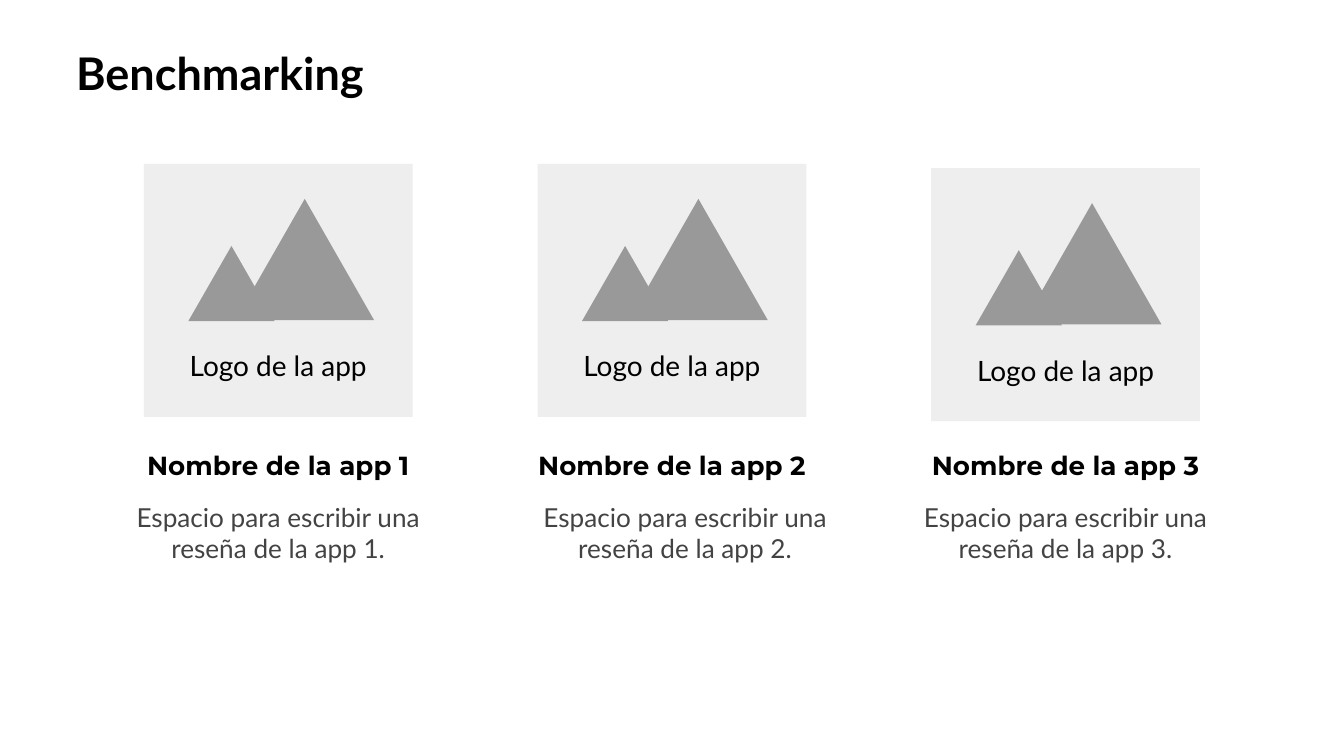
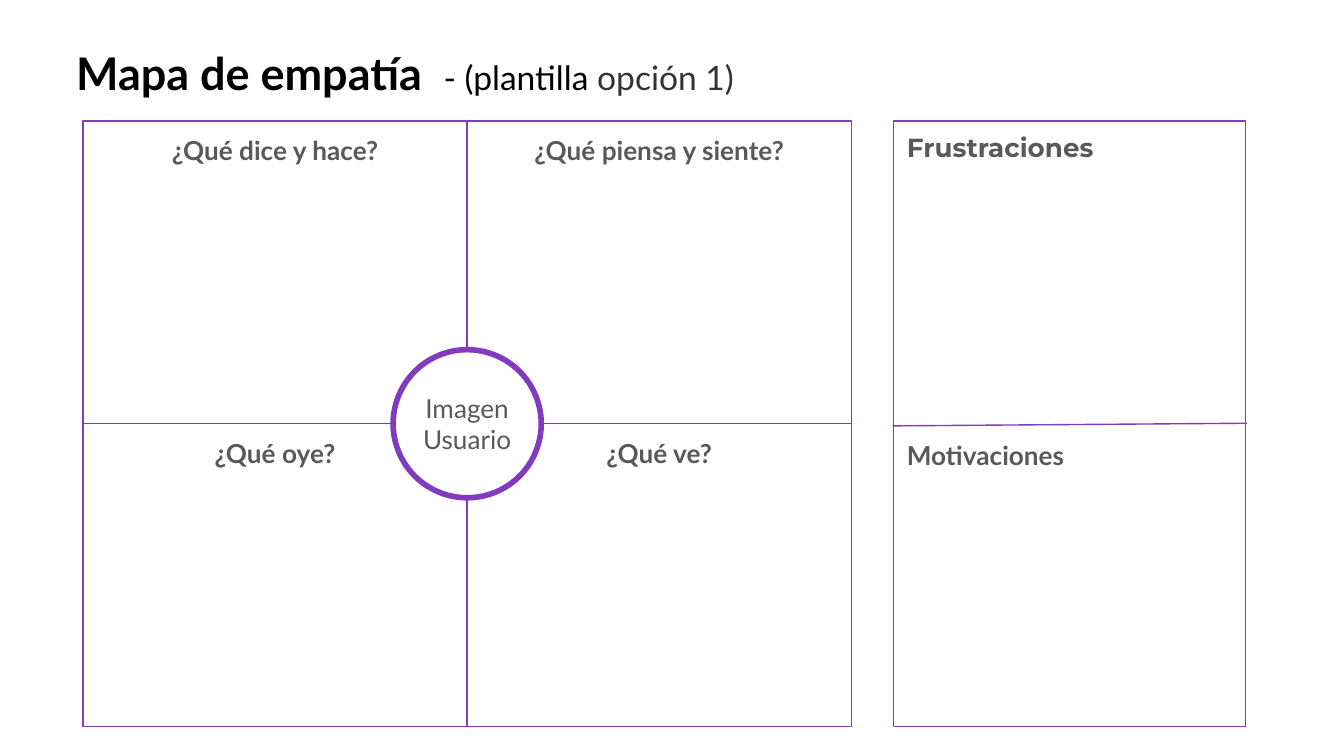
from lxml import etree
from pptx import Presentation
from pptx.dml.color import RGBColor
from pptx.enum import shapes, text
from pptx.oxml.ns import qn
from pptx.util import Cm, Pt

COLORS = {
    "black": "000000",
    "subtitle": "333333",
    "review": "434343",
    "label": "595959",
    "mountain": "999999",
    "card": "EEEEEE",
    "white": "FFFFFF",
    "purple": "813BC0",
}

# Run formats: font attributes, plus colour and optional letter spacing
TITLE = {"name": "Lato", "size": 24.1, "bold": True, "color": "black"}
TITLE_GAP = {**TITLE, "spacing": 5.4}
SUBTITLE = {**TITLE, "size": 18, "bold": False}
SUBTITLE_GREY = {**SUBTITLE, "color": "subtitle"}
LOGO = {"name": "Lato", "size": 15, "color": "black"}
APP_NAME = {"name": "Montserrat", "size": 14, "bold": True, "color": "black"}
REVIEW = {"name": "Lato", "size": 14, "color": "review"}
USER = {"name": "Lato", "size": 14, "color": "label"}
HEADING = {**USER, "bold": True}
HEADING_WIDE = {**HEADING, "name": "Montserrat"}

LEFT, CENTER = text.PP_ALIGN.LEFT, text.PP_ALIGN.CENTER
TOP, MIDDLE, BOTTOM = (text.MSO_ANCHOR.TOP, text.MSO_ANCHOR.MIDDLE,
                       text.MSO_ANCHOR.BOTTOM)
RECTANGLE = shapes.MSO_SHAPE.RECTANGLE
TRIANGLE = shapes.MSO_SHAPE.ISOSCELES_TRIANGLE
OVAL = shapes.MSO_SHAPE.OVAL

# Content, with lengths in cm
BENCHMARK_TITLE = [("Benchmarking", TITLE)]
LOGO_TEXT = "Logo de la app"
APPS = [  # name, review, top of the logo card, width of the review
    ("Nombre de la app 1", "Espacio para escribir una reseña de la app 1.", 3.1, 6.3),
    ("Nombre de la app 2", "Espacio para escribir una reseña de la app 2.", 3.1, 6.8),
    ("Nombre de la app 3", "Espacio para escribir una reseña de la app 3.", 3.18, 6.3),
]
EMPATHY_TITLE = [
    ("Mapa de empatía", TITLE),
    (" ", TITLE_GAP),
    ("- (plantilla ", SUBTITLE),
    ("opción 1)", SUBTITLE_GREY),
]
QUADRANTS = [
    ["¿Qué dice y hace?", "¿Qué piensa y siente?"],
    ["¿Qué oye?", "¿Qué ve?"],
]
USER_LINES = ["Imagen", "Usuario"]
PANEL_HEADINGS = [("Frustraciones", HEADING_WIDE, 2.24), ("Motivaciones", HEADING, 8.05)]

# Layout, in cm
SLIDE_SIZE = (25.4, 14.29)
TITLE_BOX = (1.19, 0.79, 22.17, 1.37)
APP_LEFT, APP_PITCH, APP_WIDTH = 2.11, 7.44, 6.3
NAME_TOP, REVIEW_TOP, APP_TEXT_HEIGHT = 7.95, 9.22, 1.7
CARD_WIDTH, CARD_HEIGHT = 5.08, 4.78
MOUNTAINS = [(0.84, 1.55, 1.63, 1.42), (1.73, 0.66, 2.62, 2.29)]
MAP_LEFT, MAP_TOP = 1.57, 2.29
QUADRANT_WIDTH, QUADRANT_HEIGHT = 7.26, 5.72
CIRCLE, USER_WIDTH, USER_HEIGHT = 2.8, 2.31, 0.97
PANEL_LEFT, PANEL_WIDTH, HEADING_HEIGHT = 16.89, 6.65, 1.12
DIVIDER = (16.87, 8.05, 23.57, 8)


def rgb(color):
    return RGBColor.from_string(COLORS[color])


def write(shape, paragraphs, align=LEFT, anchor=TOP, bottom=0.25, line_spacing=None):
    """Fill a shape with paragraphs, each a list of (wording, format) runs."""
    frame = shape.text_frame
    settings = {
        "word_wrap": True, "vertical_anchor": anchor,
        "margin_left": Cm(0.25), "margin_right": Cm(0.25),
        "margin_top": Cm(0.25), "margin_bottom": Cm(bottom),
    }
    for key, value in settings.items():
        setattr(frame, key, value)
    for index, runs in enumerate(paragraphs):
        paragraph = frame.add_paragraph() if index else frame.paragraphs[0]
        paragraph.alignment = align
        paragraph.line_spacing = line_spacing
        for wording, style in runs:
            run = paragraph.add_run()
            run.text = wording
            for key, value in style.items():
                if key == "color":
                    run.font.color.rgb = rgb(value)
                elif key == "spacing":
                    run._r.get_or_add_rPr().set("spc", str(round(value * 100)))
                else:
                    setattr(run.font, key, Pt(value) if key == "size" else value)


def add_text(slide, box, paragraphs, **layout):
    write(slide.shapes.add_textbox(*map(Cm, box)), paragraphs, **layout)


def add_figure(parent, kind, box, fill=None, line=None, weight=0.75):
    shape = parent.shapes.add_shape(kind, *map(Cm, box))
    shape.shadow.inherit = False
    for part, color in ((shape.fill, fill), (shape.line.fill, line)):
        if color:
            part.solid()
            part.fore_color.rgb = rgb(color)
        else:
            part.background()
    if line:
        shape.line.width = Pt(weight)
    return shape


def add_line(slide, ends):
    line = slide.shapes.add_connector(shapes.MSO_CONNECTOR.STRAIGHT, *map(Cm, ends))
    line.line.color.rgb = rgb("purple")
    line.line.width = Pt(0.75)
    etree.SubElement(line._element.spPr, qn("a:effectLst"))


def add_slide(presentation, title):
    slide = presentation.slides.add_slide(presentation.slide_layouts[6])
    slide.background.fill.solid()
    slide.background.fill.fore_color.rgb = rgb("white")
    add_text(slide, TITLE_BOX, [title], anchor=MIDDLE, line_spacing=0.8)
    return slide


def add_logo_card(slide, left, top):
    group = slide.shapes.add_group_shape()
    card = add_figure(group, RECTANGLE, (left, top, CARD_WIDTH, CARD_HEIGHT), "card")
    write(card, [[(LOGO_TEXT, LOGO)]], align=CENTER, anchor=BOTTOM, bottom=0.65)
    for x, y, width, height in MOUNTAINS:
        add_figure(group, TRIANGLE, (left + x, top + y, width, height), "mountain")


def build_benchmarking(presentation):
    slide = add_slide(presentation, BENCHMARK_TITLE)
    for index, (name, review, card_top, review_width) in enumerate(APPS):
        left = APP_LEFT + index * APP_PITCH
        add_logo_card(slide, left + (APP_WIDTH - CARD_WIDTH) / 2, card_top)
        add_text(slide, (left, NAME_TOP, APP_WIDTH, APP_TEXT_HEIGHT),
                 [[(name, APP_NAME)]], align=CENTER, anchor=MIDDLE)
        add_text(slide, (left, REVIEW_TOP, review_width, APP_TEXT_HEIGHT),
                 [[(review, REVIEW)]], align=CENTER)


def build_empathy_map(presentation):
    slide = add_slide(presentation, EMPATHY_TITLE)
    for row, questions in enumerate(QUADRANTS):
        for column, question in enumerate(questions):
            box = (MAP_LEFT + column * QUADRANT_WIDTH, MAP_TOP + row * QUADRANT_HEIGHT,
                   QUADRANT_WIDTH, QUADRANT_HEIGHT)
            quadrant = add_figure(slide, RECTANGLE, box, line="purple")
            write(quadrant, [[(question, HEADING)]], align=CENTER)

    center_x, center_y = MAP_LEFT + QUADRANT_WIDTH, MAP_TOP + QUADRANT_HEIGHT
    add_figure(slide, OVAL, (center_x - CIRCLE / 2, center_y - CIRCLE / 2, CIRCLE, CIRCLE),
               "white", "purple", 3)
    add_text(slide, (center_x - USER_WIDTH / 2, center_y - USER_HEIGHT / 2,
                     USER_WIDTH, USER_HEIGHT),
             [[(line, USER)] for line in USER_LINES], align=CENTER, anchor=MIDDLE)

    add_figure(slide, RECTANGLE, (PANEL_LEFT, MAP_TOP, PANEL_WIDTH, 2 * QUADRANT_HEIGHT),
               "white", "purple")
    add_line(slide, DIVIDER)
    for heading, style, top in PANEL_HEADINGS:
        add_text(slide, (PANEL_LEFT, top, PANEL_WIDTH, HEADING_HEIGHT), [[(heading, style)]])


def main():
    presentation = Presentation()
    presentation.slide_width, presentation.slide_height = map(Cm, SLIDE_SIZE)
    build_benchmarking(presentation)
    build_empathy_map(presentation)
    presentation.save("out.pptx")


if __name__ == "__main__":
    main()
